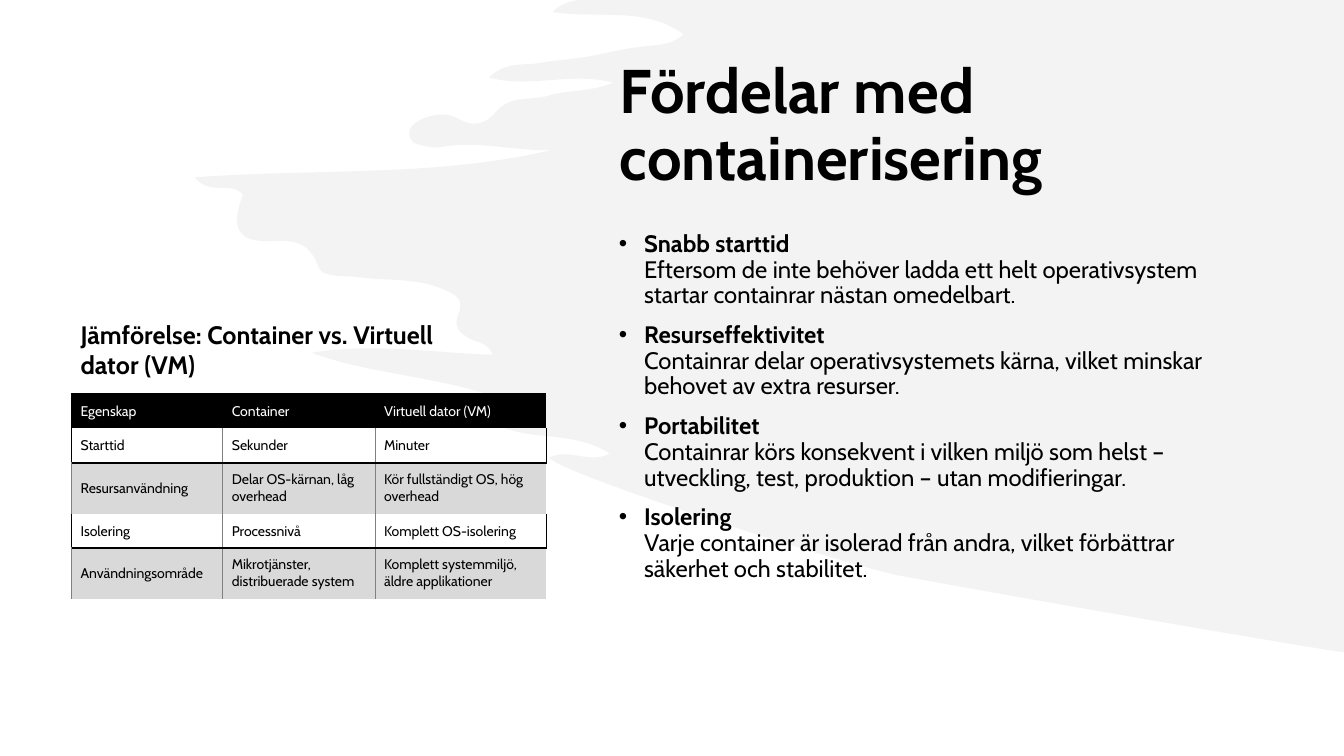
from dataclasses import dataclass
from typing import Optional

from lxml.etree import SubElement
from pptx import Presentation
from pptx.dml.color import RGBColor
from pptx.enum.text import MSO_ANCHOR, MSO_AUTO_SIZE
from pptx.oxml import parse_xml
from pptx.oxml.ns import nsdecls, qn
from pptx.util import Pt

PX = 9144
FONT = "Cabin"
BLACK, WHITE, GREY, BAND = "000000", "FFFFFF", "808080", "D9D9D9"
PLAIN_TABLE_STYLE = "{2D5ABB26-0587-4C30-8999-92F81FD0307C}"


@dataclass(frozen=True)
class Box:
    """A rectangle in px, at 100 px to the inch."""

    left: int
    top: int
    width: int
    height: int


@dataclass(frozen=True)
class Benefit:
    """A bold heading with its explanation."""

    heading: str
    explanation: str


@dataclass(frozen=True)
class Line:
    """A cell border."""

    color: str
    width: float


@dataclass(frozen=True)
class RowStyle:
    """The look of one table row; verticals run from left to right."""

    fill: Optional[str]
    text_color: str
    verticals: tuple


@dataclass(frozen=True)
class Row:
    """One table row."""

    style: RowStyle
    height: int
    texts: tuple


THICK, THIN = Line(BLACK, 1.5), Line(GREY, 0.5)
HEADER = RowStyle(BLACK, WHITE, (THICK, THICK, THICK, None))
FRAMED = RowStyle(None, BLACK, (THICK, THIN, THIN, THICK))
BANDED = RowStyle(BAND, BLACK, (THIN, THIN, THIN, None))

COLUMN_WIDTHS = (150, 151, 170)
ROWS = (
    Row(HEADER, 34, ("Egenskap", "Container", "Virtuell dator (VM)")),
    Row(FRAMED, 34, ("Starttid", "Sekunder", "Minuter")),
    Row(BANDED, 51, ("Resursanvändning", "Delar OS-kärnan, låg overhead",
                     "Kör fullständigt OS, hög overhead")),
    Row(FRAMED, 34, ("Isolering", "Processnivå", "Komplett OS-isolering")),
    Row(BANDED, 50, ("Användningsområde", "Mikrotjänster, distribuerade system",
                     "Komplett systemmiljö, äldre applikationer")),
)
BENEFITS = (
    Benefit("Snabb starttid", "Eftersom de inte behöver ladda ett helt operativsystem "
            "startar containrar nästan omedelbart."),
    Benefit("Resurseffektivitet", "Containrar delar operativsystemets kärna, vilket "
            "minskar behovet av extra resurser."),
    Benefit("Portabilitet", "Containrar körs konsekvent i vilken miljö som helst – "
            "utveckling, test, produktion – utan modifieringar."),
    Benefit("Isolering", "Varje container är isolerad från andra, vilket förbättrar "
            "säkerhet och stabilitet."),
)
BRUSH_LEFT = 193
BRUSH_START = (575, 0)
BRUSH_CURVES = (
    (567, 1, 557, 3, 548, 12), (595, 19, 639, 6, 678, 34), (664, 47, 648, 44, 632, 47),
    (616, 49, 600, 53, 584, 56), (567, 59, 549, 60, 532, 63), (518, 65, 502, 61, 485, 77),
    (527, 88, 566, 71, 608, 82), (584, 92, 563, 89, 544, 95), (527, 100, 506, 94, 492, 111),
    (481, 124, 469, 126, 455, 118), (442, 111, 428, 113, 415, 120),
    (411, 123, 406, 126, 406, 132), (406, 141, 412, 143, 418, 144),
    (424, 146, 431, 147, 437, 146), (474, 139, 510, 150, 547, 149),
    (431, 176, 314, 167, 193, 176), (209, 195, 229, 179, 241, 193),
    (230, 222, 234, 237, 258, 239), (280, 241, 304, 231, 316, 265),
    (320, 276, 341, 273, 355, 275), (384, 279, 414, 275, 442, 288),
    (453, 293, 460, 297, 455, 311), (449, 325, 456, 330, 466, 336),
    (473, 340, 483, 339, 489, 352), (428, 350, 369, 340, 309, 350),
    (375, 374, 447, 373, 512, 402), (510, 412, 495, 407, 494, 422),
    (528, 438, 569, 427, 605, 450), (584, 461, 565, 444, 545, 454),
    (552, 469, 840, 561, 892, 571), (978, 587, 1195, 625, 1318, 645),
)


def rgb(color: str) -> RGBColor:
    """Turn a hex string into a colour."""
    return RGBColor.from_string(color)


def emu(box: Box) -> tuple:
    """Turn a box into EMU lengths."""
    return box.left * PX, box.top * PX, box.width * PX, box.height * PX


def add_brush(slide) -> None:
    """Draw the pale brush stroke behind the text."""
    corners = [BRUSH_START, *(curve[4:] for curve in BRUSH_CURVES), (1333, 647)]
    builder = slide.shapes.build_freeform(1333, 0, scale=PX)
    builder.add_line_segments(corners, close=True)
    shape = builder.convert_to_shape()
    shape.shadow.inherit = False
    shape.line.fill.background()
    shape.fill.solid()
    shape.fill.fore_color.rgb = rgb("E8E8E8")
    color = shape._element.spPr.find(qn("a:solidFill")).find(qn("a:srgbClr"))
    SubElement(color, qn("a:alpha")).set("val", "50000")
    segments = list(shape._element.iter(qn("a:lnTo")))[1:]
    for segment, curve in zip(segments, BRUSH_CURVES):
        points = "".join(f'<a:pt x="{x - BRUSH_LEFT}" y="{y}"/>'
                         for x, y in zip(curve[::2], curve[1::2]))
        segment.getparent().replace(segment, parse_xml(
            f'<a:cubicBezTo {nsdecls("a")}>{points}</a:cubicBezTo>'))


def style_font(font, size: int, color: str, bold: Optional[bool] = None) -> None:
    """Set the typeface, size, colour and weight."""
    font.name, font.size, font.bold = FONT, Pt(size), bold
    font.color.rgb = rgb(color)


def add_frame(slide, box: Box):
    """Add a wrapping text box and return its text frame."""
    frame = slide.shapes.add_textbox(*emu(box)).text_frame
    frame.word_wrap = True
    return frame


def add_heading(slide, box: Box, text: str, size: int):
    """Add a bold heading and return its text frame."""
    frame = add_frame(slide, box)
    frame.text = text
    style_font(frame.paragraphs[0].font, size, BLACK, True)
    return frame


def add_benefits(slide, box: Box) -> None:
    """Add the bulleted benefits."""
    frame = add_frame(slide, box)
    for index, benefit in enumerate(BENEFITS):
        paragraph = frame.add_paragraph() if index else frame.paragraphs[0]
        paragraph.line_spacing, paragraph.space_before = 0.9, Pt(10)
        style_font(paragraph.font, 17, BLACK)
        properties = paragraph._p.get_or_add_pPr()
        properties.set("marL", str(25 * PX))
        properties.set("indent", str(-25 * PX))
        for bullet in ('buFont {} typeface="Arial"', 'buChar {} char="•"'):
            properties.insert_element_before(
                parse_xml(f'<a:{bullet.format(nsdecls("a"))}/>'),
                "a:tabLst", "a:defRPr", "a:extLst")
        heading = paragraph.add_run()
        heading.text, heading.font.bold = benefit.heading, True
        paragraph.add_line_break()
        explanation = paragraph.add_run()
        explanation.text, explanation.font.bold = benefit.explanation, False


def set_borders(cell, lines: tuple) -> None:
    """Set the left, right, top and bottom borders of a cell."""
    properties = cell._tc.get_or_add_tcPr()
    for index, (side, line) in enumerate(zip("LRTB", lines)):
        width = Pt(line.width) if line else 0
        fill = (f'<a:solidFill><a:srgbClr val="{line.color}"/></a:solidFill>'
                if line else "<a:noFill/>")
        properties.insert(index, parse_xml(
            f'<a:ln{side} {nsdecls("a")} w="{width}">{fill}</a:ln{side}>'))


def add_comparison(slide, box: Box) -> None:
    """Add the comparison table."""
    table = slide.shapes.add_table(len(ROWS), len(COLUMN_WIDTHS), *emu(box)).table
    table._tbl.tblPr.find(qn("a:tableStyleId")).text = PLAIN_TABLE_STYLE
    for column, width in zip(table.columns, COLUMN_WIDTHS):
        column.width = width * PX
    horizontals = (THICK, None) * 3
    for row_index, row in enumerate(ROWS):
        table.rows[row_index].height = row.height * PX
        for column_index, text in enumerate(row.texts):
            cell = table.cell(row_index, column_index)
            cell.text, cell.vertical_anchor = text, MSO_ANCHOR.MIDDLE
            cell.margin_left, cell.margin_right = 9 * PX, 4 * PX
            cell.margin_top = cell.margin_bottom = 7 * PX
            style_font(cell.text_frame.paragraphs[0].font, 10, row.style.text_color)
            if row.style.fill:
                cell.fill.solid()
                cell.fill.fore_color.rgb = rgb(row.style.fill)
            else:
                cell.fill.background()
            set_borders(cell, row.style.verticals[column_index:column_index + 2]
                        + horizontals[row_index:row_index + 2])


def main() -> None:
    """Build and save the slide."""
    presentation = Presentation()
    presentation.slide_width, presentation.slide_height = 1333 * PX, 750 * PX
    slide = presentation.slides.add_slide(presentation.slide_layouts[6])
    add_brush(slide)
    title = add_heading(slide, Box(605, 40, 637, 157), "Fördelar med containerisering", 44)
    title.vertical_anchor = MSO_ANCHOR.BOTTOM
    title.paragraphs[0].line_spacing, title.paragraphs[0].space_after = 0.9, Pt(9)
    add_benefits(slide, Box(604, 225, 637, 451))
    add_comparison(slide, Box(71, 391, sum(COLUMN_WIDTHS), sum(row.height for row in ROWS)))
    caption = add_heading(slide, Box(70, 312, 379, 71),
                          "Jämförelse: Container vs. Virtuell dator (VM)", 18)
    caption.auto_size = MSO_AUTO_SIZE.SHAPE_TO_FIT_TEXT
    presentation.save("out.pptx")


if __name__ == "__main__":
    main()
